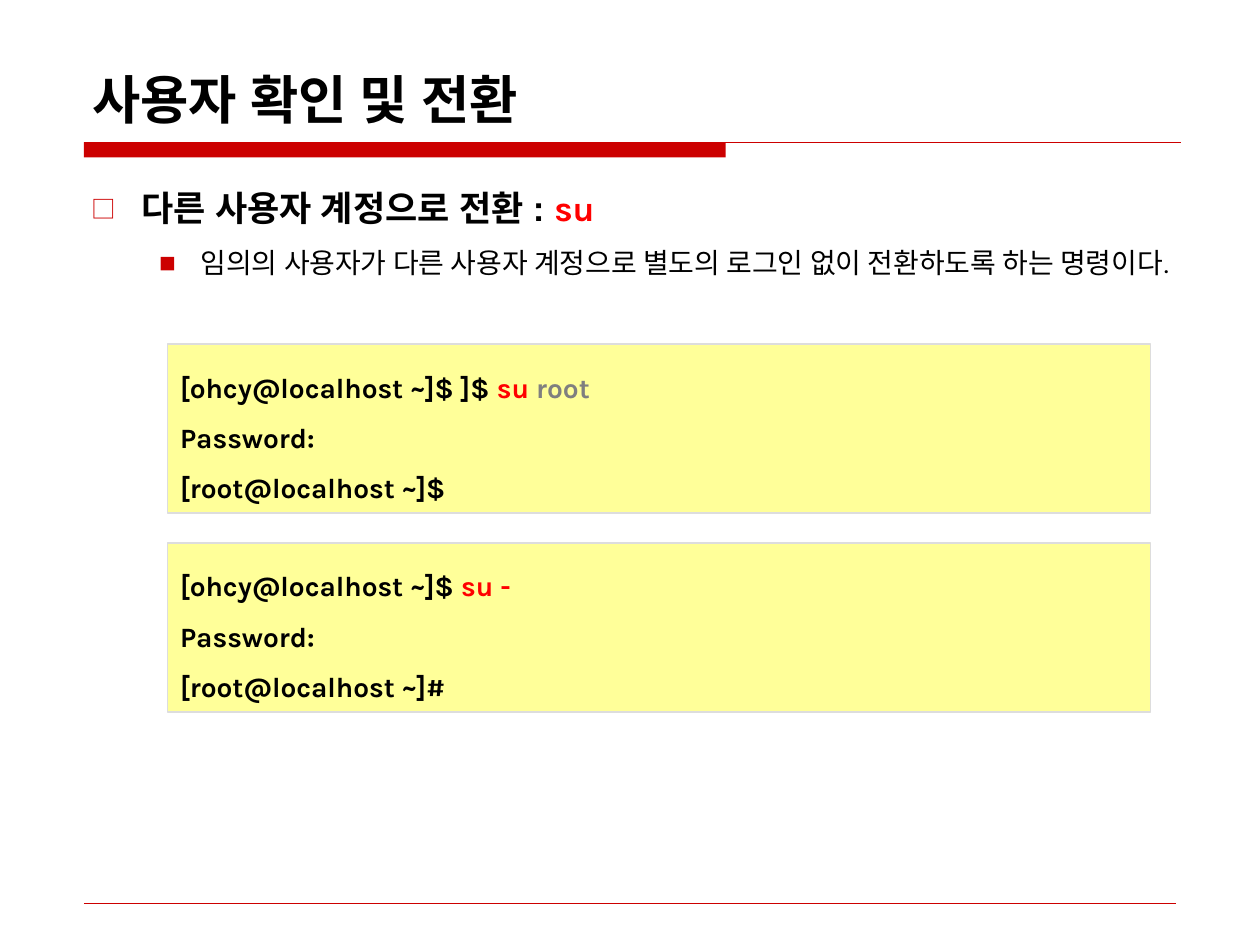
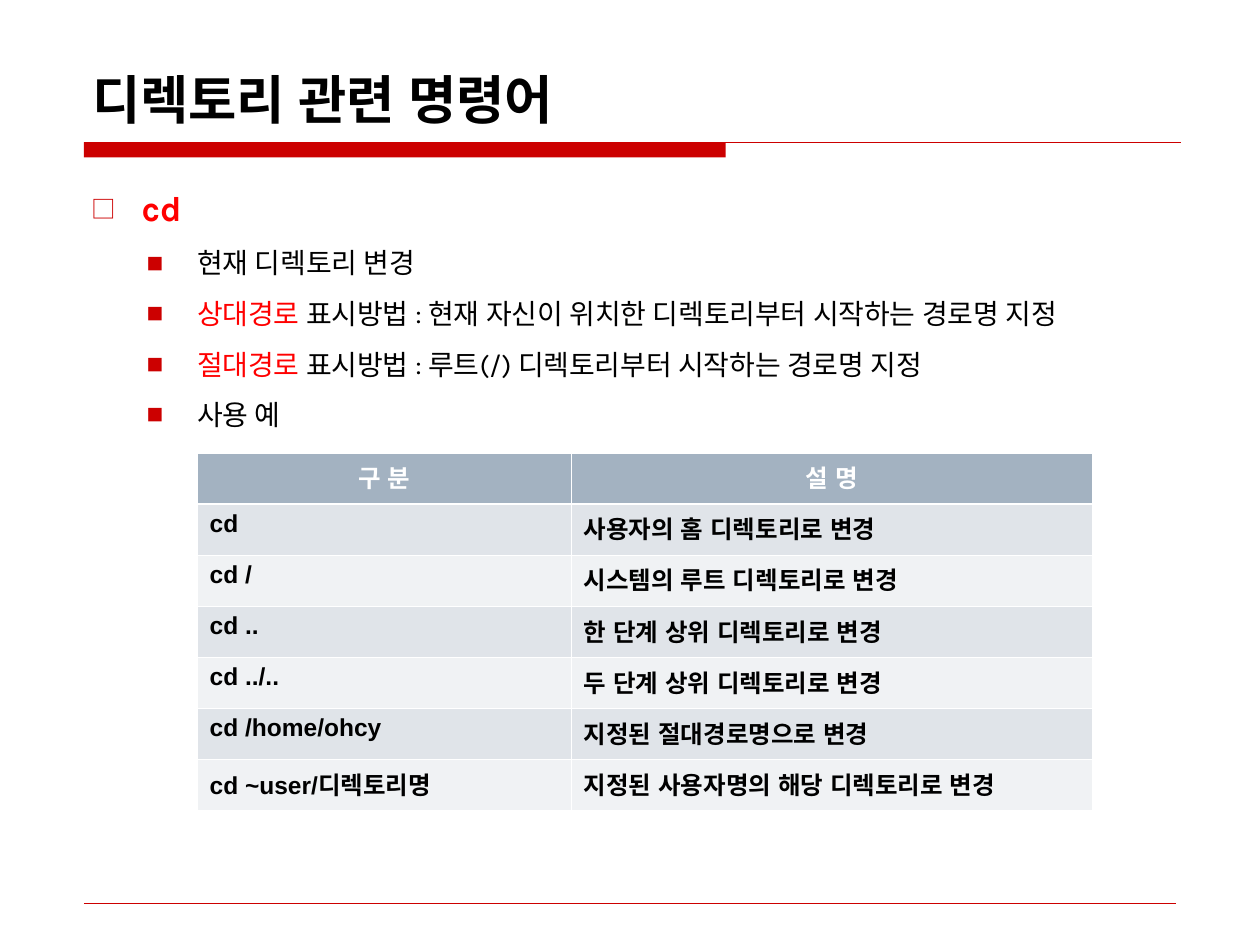
"""Build two slides on switching users and changing directories in a shell."""
from lxml import etree
from pptx import Presentation
from pptx.dml.color import RGBColor
from pptx.enum.shapes import MSO_CONNECTOR, MSO_SHAPE
from pptx.enum.text import MSO_ANCHOR, PP_ALIGN
from pptx.oxml.ns import qn
from pptx.util import Pt

LEFT, CENTER = PP_ALIGN.LEFT, PP_ALIGN.CENTER
MIDDLE, BOTTOM = MSO_ANCHOR.MIDDLE, MSO_ANCHOR.BOTTOM
RECTANGLE, STRAIGHT = MSO_SHAPE.RECTANGLE, MSO_CONNECTOR.STRAIGHT

KARLA, ARIAL, NOTO = "Karla", "Arial", "Noto Sans CJK KR"
BLACK, WHITE, RED, GRAY = "000000", "FFFFFF", "FF0000", "7F7F7F"
BRAND, CONSOLE, CONSOLE_EDGE = "CC0000", "FFFF99", "DDDDDD"
HEADER, BANDS = "A3B2C1", ("E0E4E9", "F0F2F4")

SWITCH_TITLE = "사용자 확인 및 전환"
SWITCH_HEADING = [("다른 사용자 계정으로 전환 : ", BLACK, ARIAL), ("su", RED)]
SWITCH_POINTS = [
    [("임의의 사용자가 다른 사용자 계정으로 별도의 로그인 없이 전환하도록 하는 명령이다.", BLACK)],
]
CONSOLES = [
    [[("[ohcy@localhost ~]$ ]$", BLACK), (" su ", RED), ("root", GRAY)],
     [("Password:", BLACK)],
     [("[root@localhost ~]$", BLACK)]],
    [[("[ohcy@localhost ~]$ ", BLACK), ("su -", RED)],
     [("Password:", BLACK)],
     [("[root@localhost ~]#", BLACK)]],
]

DIRECTORY_TITLE = "디렉토리 관련 명령어"
DIRECTORY_HEADING = [("cd", RED)]
DIRECTORY_POINTS = [
    [("현재 디렉토리 변경", BLACK)],
    [("상대경로", RED), (" 표시방법 : 현재 자신이 위치한 디렉토리부터 시작하는 경로명 지정", BLACK)],
    [("절대경로", RED), (" 표시방법 : 루트(/) 디렉토리부터 시작하는 경로명 지정", BLACK)],
    [("사용 예", BLACK)],
]
CD_USES = [
    ("구 분", "설 명"),
    ("cd", "사용자의 홈 디렉토리로 변경"),
    ("cd /", "시스템의 루트 디렉토리로 변경"),
    ("cd ..", "한 단계 상위 디렉토리로 변경"),
    ("cd ../..", "두 단계 상위 디렉토리로 변경"),
    ("cd /home/ohcy", "지정된 절대경로명으로 변경"),
    ("cd ~user/디렉토리명", "지정된 사용자명의 해당 디렉토리로 변경"),
]
CD_WIDTHS = (213.8, 298.1)
ROW_HEIGHT = 29.2


def rgb(code):
    return RGBColor.from_string(code)


def points(*lengths):
    return [Pt(length) for length in lengths]


def write(paragraph, runs, size=16, bold=False, asian=KARLA, align=LEFT,
          spacing=None, before=0):
    """Fill a paragraph with (text, colour[, font]) runs."""
    paragraph.alignment = align
    paragraph.space_before = Pt(before)
    if spacing:
        paragraph.line_spacing = spacing
    for text, color, *font in runs:
        run = paragraph.add_run()
        run.text = text
        run.font.size = Pt(size)
        run.font.bold = bold
        run.font.color.rgb = rgb(color)
        run.font.name = font[0] if font else KARLA
        properties = run.font._element
        properties.set("lang", "ko-KR")
        etree.SubElement(properties, qn("a:ea"), typeface=asian)


def add_bullet(paragraph, mark, percent, margin, hang):
    properties = paragraph._p.get_or_add_pPr()
    properties.set("marL", str(Pt(margin)))
    properties.set("indent", str(-Pt(hang)))
    color = etree.SubElement(properties, qn("a:buClr"))
    etree.SubElement(color, qn("a:srgbClr"), val=BRAND)
    etree.SubElement(properties, qn("a:buSzPct"), val=str(percent * 1000))
    etree.SubElement(properties, qn("a:buFont"), typeface=NOTO)
    etree.SubElement(properties, qn("a:buChar"), char=mark)


def add_box(slide, box, fill, edge=None):
    shape = slide.shapes.add_shape(RECTANGLE, *points(*box))
    shape.shadow.inherit = False
    shape.fill.solid()
    shape.fill.fore_color.rgb = rgb(fill)
    if edge:
        shape.line.color.rgb = rgb(edge)
        shape.line.width = Pt(1)
    else:
        shape.line.fill.background()
    return shape


def add_rule(slide, right, y, width):
    rule = slide.shapes.add_connector(STRAIGHT, *points(48, y, right, y))
    rule.line.color.rgb = rgb(BRAND)
    rule.line.width = Pt(width)
    etree.SubElement(rule._element.spPr, qn("a:effectLst"))


def add_titled_slide(deck, title):
    slide = deck.slides.add_slide(deck.slide_layouts[5])
    add_box(slide, (48, 81.4, 366.7, 8.6), BRAND)
    add_rule(slide, 674.6, 81.4, 0.75)
    add_rule(slide, 672, 516.2, 0.25)
    heading = slide.shapes.title
    heading.left, heading.top, heading.width, heading.height = points(45.4, 24, 630, 54)
    heading.text_frame.vertical_anchor = BOTTOM
    write(heading.text_frame.paragraphs[0], [(title, BLACK)], size=30, bold=True)
    return slide


def add_outline(slide, heading, items, margin, hang):
    frame = slide.shapes.add_textbox(*points(45, 96, 630, 378)).text_frame
    frame.word_wrap = True
    first = frame.paragraphs[0]
    write(first, heading, size=20, bold=True, spacing=1.3, before=5)
    add_bullet(first, "□", 70, 28.8, 28.8)
    for item in items:
        paragraph = frame.add_paragraph()
        paragraph.level = 1
        write(paragraph, item, spacing=1.3, before=4)
        add_bullet(paragraph, "■", 60, margin, hang)


def add_console(slide, top, lines):
    frame = add_box(slide, (95.8, top, 561.6, 96.5), CONSOLE, CONSOLE_EDGE).text_frame
    frame.word_wrap = True
    frame.vertical_anchor = MIDDLE
    for number, line in enumerate(lines):
        paragraph = frame.add_paragraph() if number else frame.paragraphs[0]
        write(paragraph, line, bold=True, spacing=1.5)


def style_cell(cell, fill, heavy_edge):
    properties = cell._tc.get_or_add_tcPr()
    for edge in ("lnL", "lnR", "lnT", "lnB"):
        width = 1.47 if edge == heavy_edge else 0.45
        line = etree.SubElement(properties, qn(f"a:{edge}"), w=str(Pt(width)))
        paint = etree.SubElement(line, qn("a:solidFill"))
        etree.SubElement(paint, qn("a:srgbClr"), val=WHITE)
    cell.fill.solid()
    cell.fill.fore_color.rgb = rgb(fill)


def add_cd_table(slide):
    box = points(112.6, 258.8, sum(CD_WIDTHS), ROW_HEIGHT * len(CD_USES))
    table = slide.shapes.add_table(len(CD_USES), len(CD_WIDTHS), *box).table
    for column, width in zip(table.columns, CD_WIDTHS):
        column.width = Pt(width)
    for r, use in enumerate(CD_USES):
        table.rows[r].height = Pt(ROW_HEIGHT)
        fill = BANDS[(r - 1) % 2] if r else HEADER
        color, align = (BLACK, LEFT) if r else (WHITE, CENTER)
        heavy_edge = {0: "lnB", 1: "lnT"}.get(r)
        for c, text in enumerate(use):
            cell = table.cell(r, c)
            style_cell(cell, fill, heavy_edge)
            font = NOTO if r and c else ARIAL
            write(cell.text_frame.paragraphs[0], [(text, color, font)],
                  size=14, bold=True, asian=NOTO, align=align)


def main():
    deck = Presentation()
    deck.slide_width, deck.slide_height = points(720, 540)

    switch = add_titled_slide(deck, SWITCH_TITLE)
    add_outline(switch, SWITCH_HEADING, SWITCH_POINTS, 62.6, 23.8)
    for number, lines in enumerate(CONSOLES):
        add_console(switch, 196.8 + 113.5 * number, lines)

    directory = add_titled_slide(deck, DIRECTORY_TITLE)
    add_outline(directory, DIRECTORY_HEADING, DIRECTORY_POINTS, 60.5, 28.8)
    add_cd_table(directory)

    deck.save("out.pptx")


if __name__ == "__main__":
    main()
